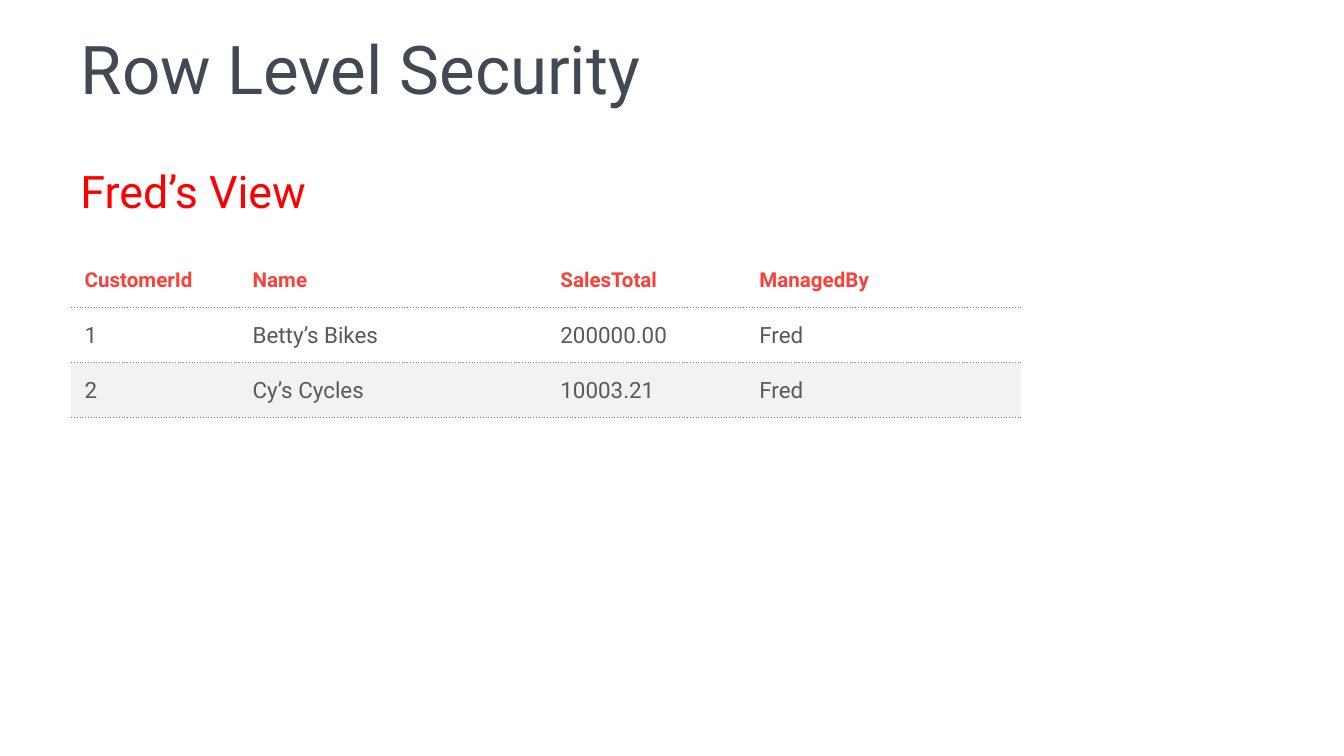
from lxml.etree import SubElement
from pptx import Presentation
from pptx.dml.color import RGBColor
from pptx.enum.text import MSO_ANCHOR, PP_ALIGN
from pptx.oxml.ns import qn
from pptx.util import Inches, Pt

TITLE = "Row Level Security"
VIEW = "Fred’s View"
ROWS = [
    ("CustomerId", "Name", "SalesTotal", "ManagedBy"),
    ("1", "Betty’s Bikes", "200000.00", "Fred"),
    ("2", "Cy’s Cycles", "10003.21", "Fred"),
]
WIDTHS = [1.25, 2.29, 1.48, 2.05]
ROW_H = 0.41
BAND, RULE = "F2F2F2", "808080"
HEAD = {"size": Pt(11), "bold": True, "color": "F9413A"}
BODY = {"size": Pt(12), "bold": False, "color": "595959"}


def color(code):
    return RGBColor.from_string(code)


def write(frame, text, style):
    frame.text = text
    para = frame.paragraphs[0]
    para.alignment = PP_ALIGN.LEFT
    font = para.runs[0].font
    font.name = "Roboto"
    for key, value in style.items():
        if key == "color":
            font.color.rgb = color(value)
        else:
            setattr(font, key, value)
    return para


def set_edges(cell, ruled):
    """Draw dotted rules on the named sides and clear the other sides."""
    props = cell._tc.get_or_add_tcPr()
    for side in ("lnL", "lnR", "lnT", "lnB"):
        line = SubElement(props, qn(f"a:{side}"), w=str(Pt(0.5)))
        if side in ruled:
            fill = SubElement(line, qn("a:solidFill"))
            SubElement(fill, qn("a:srgbClr"), val=RULE)
            SubElement(line, qn("a:prstDash"), val="sysDot")
        else:
            SubElement(line, qn("a:noFill"))


deck = Presentation()
deck.slide_width = Inches(10)
deck.slide_height = deck.slide_width * 9 // 16
slide = deck.slides.add_slide(deck.slide_layouts[5])

title = slide.shapes.title
title.left, title.top = Inches(0.5), Inches(0.27)
title.width, title.height = Inches(9), Inches(0.67)
title.text_frame.vertical_anchor = MSO_ANCHOR.TOP
para = write(title.text_frame, TITLE, {"size": Pt(36), "color": "414954"})
para.line_spacing = Pt(35)

view = slide.shapes.add_textbox(Inches(0.5), Inches(1.17), Inches(9.03), Inches(0.49))
view.text_frame.word_wrap = True
view.text_frame.vertical_anchor = MSO_ANCHOR.MIDDLE
write(view.text_frame, VIEW, {"size": Pt(24), "color": "FF0000"})

table = slide.shapes.add_table(
    len(ROWS), len(WIDTHS), Inches(0.53), Inches(1.88),
    Inches(sum(WIDTHS)), Inches(ROW_H * len(ROWS))).table
table.first_row = table.horz_banding = False
for column, width in zip(table.columns, WIDTHS):
    column.width = Inches(width)

for r, row in enumerate(ROWS):
    table.rows[r].height = Inches(ROW_H)
    for c, text in enumerate(row):
        cell = table.cell(r, c)
        cell.vertical_anchor = MSO_ANCHOR.MIDDLE
        cell.margin_left = cell.margin_right = Inches(0.1)
        cell.margin_top = cell.margin_bottom = Inches(0.04)
        set_edges(cell, ("lnT", "lnB") if r else ("lnB",))
        if r and r % 2 == 0:
            cell.fill.solid()
            cell.fill.fore_color.rgb = color(BAND)
        else:
            cell.fill.background()
        write(cell.text_frame, text, BODY if r else HEAD)

deck.save("out.pptx")
